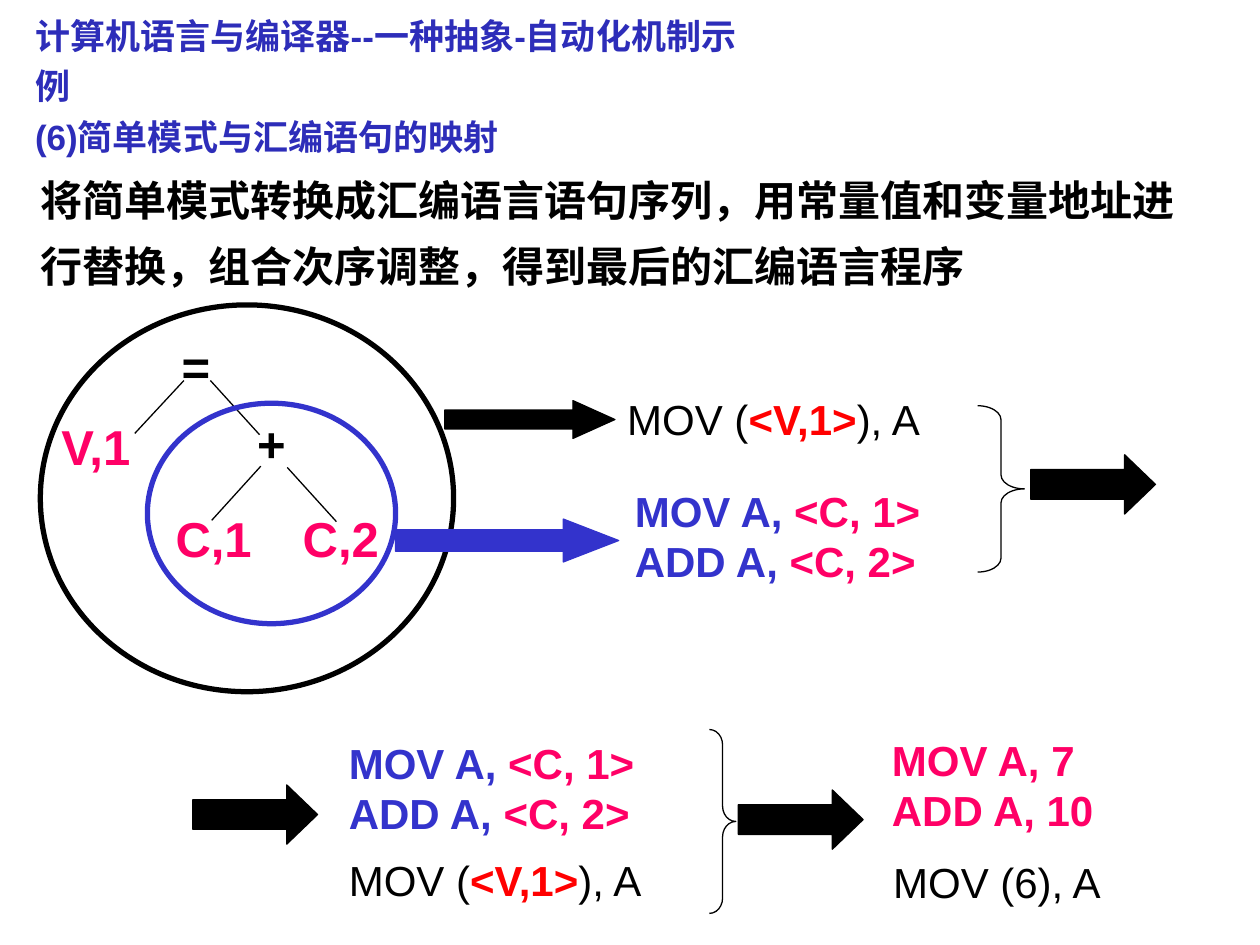
from pptx import Presentation
from pptx.dml.color import RGBColor
from pptx.enum.shapes import MSO_CONNECTOR, MSO_SHAPE
from pptx.enum.text import MSO_ANCHOR, MSO_AUTO_SIZE, PP_ALIGN
from pptx.oxml.ns import qn
from pptx.util import Inches, Pt
from lxml import etree

STRAIGHT = MSO_CONNECTOR.STRAIGHT
ELLIPSE = MSO_SHAPE.OVAL
ARROW = MSO_SHAPE.RIGHT_ARROW
BRACE = MSO_SHAPE.RIGHT_BRACE
TOP, MIDDLE = MSO_ANCHOR.TOP, MSO_ANCHOR.MIDDLE
LEFT, CENTER = PP_ALIGN.LEFT, PP_ALIGN.CENTER
FIT_SHAPE = MSO_AUTO_SIZE.SHAPE_TO_FIT_TEXT

BLACK = RGBColor(0x00, 0x00, 0x00)
BLUE = RGBColor(0x33, 0x33, 0xCC)
TITLE_BLUE = RGBColor(0x2D, 0x2D, 0xB9)
PINK = RGBColor(0xFF, 0x00, 0x66)
RED = RGBColor(0xFF, 0x00, 0x00)


class PageBuilder:
    """Holds the text style and the current slide."""

    def __init__(self, page, font="Arial", thin=0.75):
        self.page = page
        self.font = font
        self.thin = thin

    def text(self, left, top, width, height, lines, size=24, font=None,
             wrap=False, align=LEFT, anchor=MIDDLE, spacing=None):
        """Each line is a list of (text, colour, bold) spans."""
        box = self.page.shapes.add_textbox(
            Inches(left), Inches(top), Inches(width), Inches(height))
        frame = box.text_frame
        frame.word_wrap = wrap
        frame.auto_size = FIT_SHAPE
        frame.vertical_anchor = anchor
        for index, spans in enumerate(lines):
            para = frame.add_paragraph() if index else frame.paragraphs[0]
            para.alignment = align
            if spacing:
                para.line_spacing = spacing
            for words, color, bold in spans:
                span = para.add_run()
                span.text = words
                span.font.name = font or self.font
                span.font.size = Pt(size)
                span.font.bold = bold
                span.font.color.rgb = color

    def shape(self, kind, left, top, width, height, color=BLACK,
              filled=False, weight=None, adjust=()):
        shape = self.page.shapes.add_shape(
            kind, Inches(left), Inches(top), Inches(width), Inches(height))
        shape.shadow.inherit = False
        for index, value in enumerate(adjust):
            shape.adjustments[index] = value
        if filled:
            shape.fill.solid()
            shape.fill.fore_color.rgb = color
        else:
            shape.fill.background()
        shape.line.color.rgb = color
        shape.line.width = Pt(weight or self.thin)

    def line(self, x1, y1, x2, y2):
        line = self.page.shapes.add_connector(
            STRAIGHT, Inches(x1), Inches(y1), Inches(x2), Inches(y2))
        line.line.color.rgb = BLACK
        line.line.width = Pt(self.thin)
        etree.SubElement(line._element.spPr, qn("a:effectLst"))

    def tree_node(self, left, top, width, label, color):
        self.text(left, top, width, 0.57, [[(label, color, True)]],
                  size=28, align=CENTER, anchor=TOP)

    def step_arrow(self, left, top):
        self.shape(ARROW, left, top, 0.99, 0.47, filled=True,
                   adjust=(0.5, 0.52))

    def add_pattern(self, left, top):
        lines = [[(code, BLUE, True), (operand, PINK, True)]
                 for code, operand in (("MOV A,", " <C, 1>"),
                                       ("ADD A,", " <C, 2>"))]
        self.text(left, top, 2.53, 0.9, lines)

    def store_pattern(self, left, top):
        self.text(left, top, 2.66, 0.5, [[("MOV (", BLACK, False),
                                          ("<V,1>", RED, True),
                                          ("), A", BLACK, False)]])


def main():
    deck = Presentation()
    deck.slide_width, deck.slide_height = Inches(10), Inches(7.5)
    builder = PageBuilder(deck.slides.add_slide(deck.slide_layouts[6]))

    # Expression tree
    for node in ((0.37, 3.26, 0.78, "V,1", PINK),
                 (1.34, 2.62, 0.43, "=", BLACK),
                 (1.94, 3.23, 0.43, "+", BLACK),
                 (1.29, 3.99, 0.81, "C,1", PINK),
                 (2.30, 3.99, 0.81, "C,2", PINK)):
        builder.tree_node(*node)
    for branch in ((1.07, 3.44, 1.46, 3.02), (2.06, 3.45, 1.67, 3.02),
                   (1.68, 4.13, 2.07, 3.70), (2.67, 4.14, 2.28, 3.71)):
        builder.line(*branch)

    # Circles around the simple patterns
    builder.shape(ELLIPSE, 1.17, 3.2, 1.97, 1.75, BLUE, weight=3)
    builder.shape(ELLIPSE, 0.32, 2.42, 3.28, 3.07, weight=3)

    # Explanation
    builder.text(0.22, 1.22, 9.39, 1.14, [[(
        "将简单模式转换成汇编语言语句序列，用常量值和变量地址进行替换，"
        "组合次序调整，得到最后的汇编语言程序", BLACK, True)]],
        font="Times New Roman", wrap=True, anchor=TOP, spacing=1.3)

    # Patterns mapped to statements
    builder.shape(ARROW, 3.14, 4.12, 1.77, 0.34, BLUE, filled=True,
                  adjust=(0.5, 1.29))
    builder.add_pattern(4.94, 3.8)
    builder.store_pattern(4.88, 3.07)
    builder.shape(ARROW, 3.53, 3.18, 1.35, 0.3, filled=True,
                  adjust=(0.5, 1.11))
    builder.shape(BRACE, 7.76, 3.22, 0.37, 1.32, adjust=(0.3, 0.5))
    builder.step_arrow(8.18, 3.61)

    # Reordered statements
    builder.step_arrow(1.53, 6.23)
    builder.add_pattern(2.67, 5.8)
    builder.store_pattern(2.67, 6.73)
    builder.shape(BRACE, 5.63, 5.79, 0.21, 1.46, adjust=(0.58, 0.5))

    # Final program
    builder.step_arrow(5.86, 6.27)
    builder.text(6.98, 5.78, 1.91, 0.9, [[("MOV A, 7", PINK, True)],
                                         [("ADD A, 10", PINK, True)]])
    builder.text(6.99, 6.75, 1.96, 0.5, [[("MOV (6), A", BLACK, False)]])

    # Title
    builder.text(0.18, 0, 6.03, 0.9, [
        [("计算机语言与编译器--一种抽象-自动化机制示例", TITLE_BLUE, True)],
        [("(6)简单模式与汇编语句的映射", TITLE_BLUE, True)]],
        size=20, wrap=True, anchor=TOP, spacing=1.2)

    deck.save("out.pptx")


if __name__ == "__main__":
    main()
